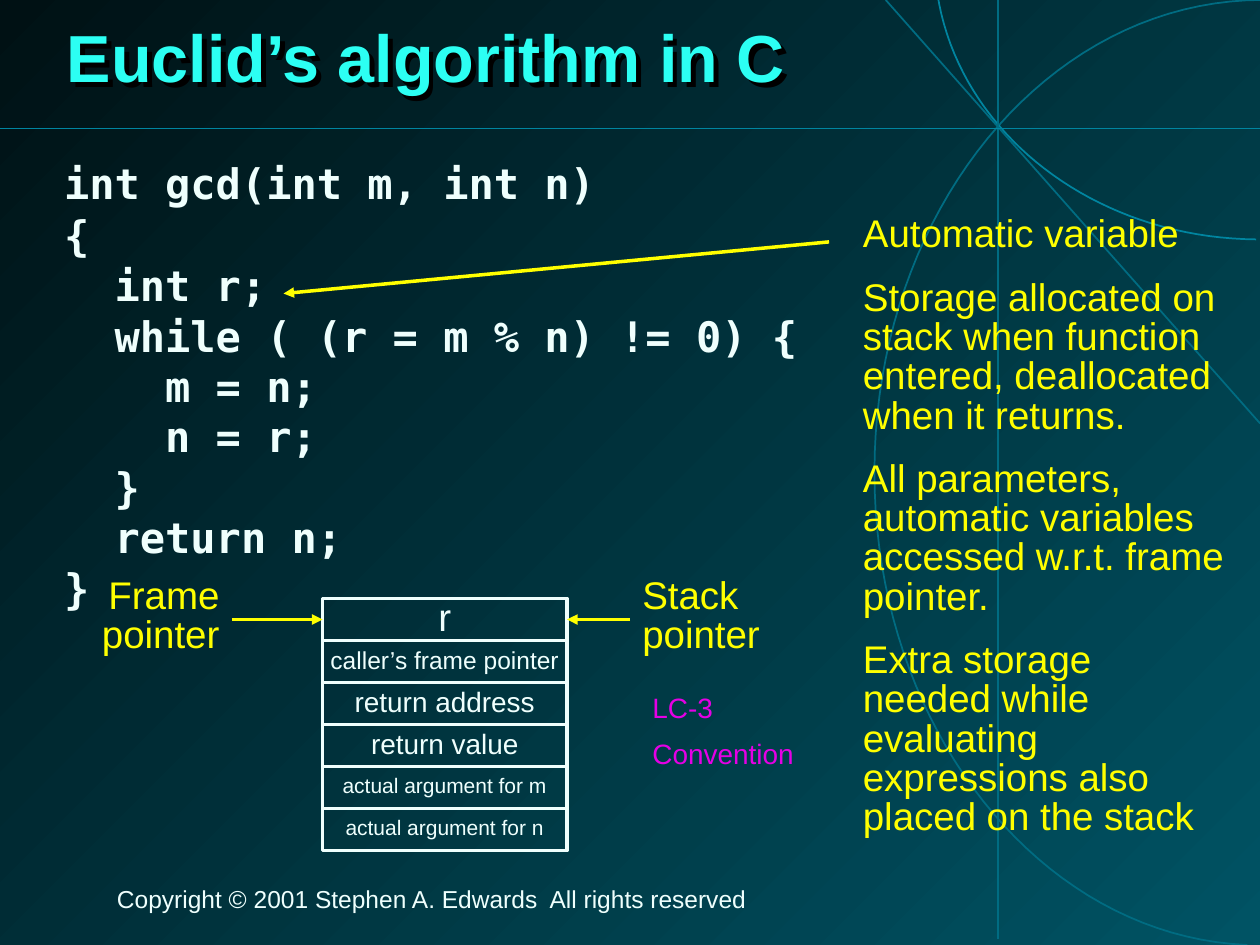
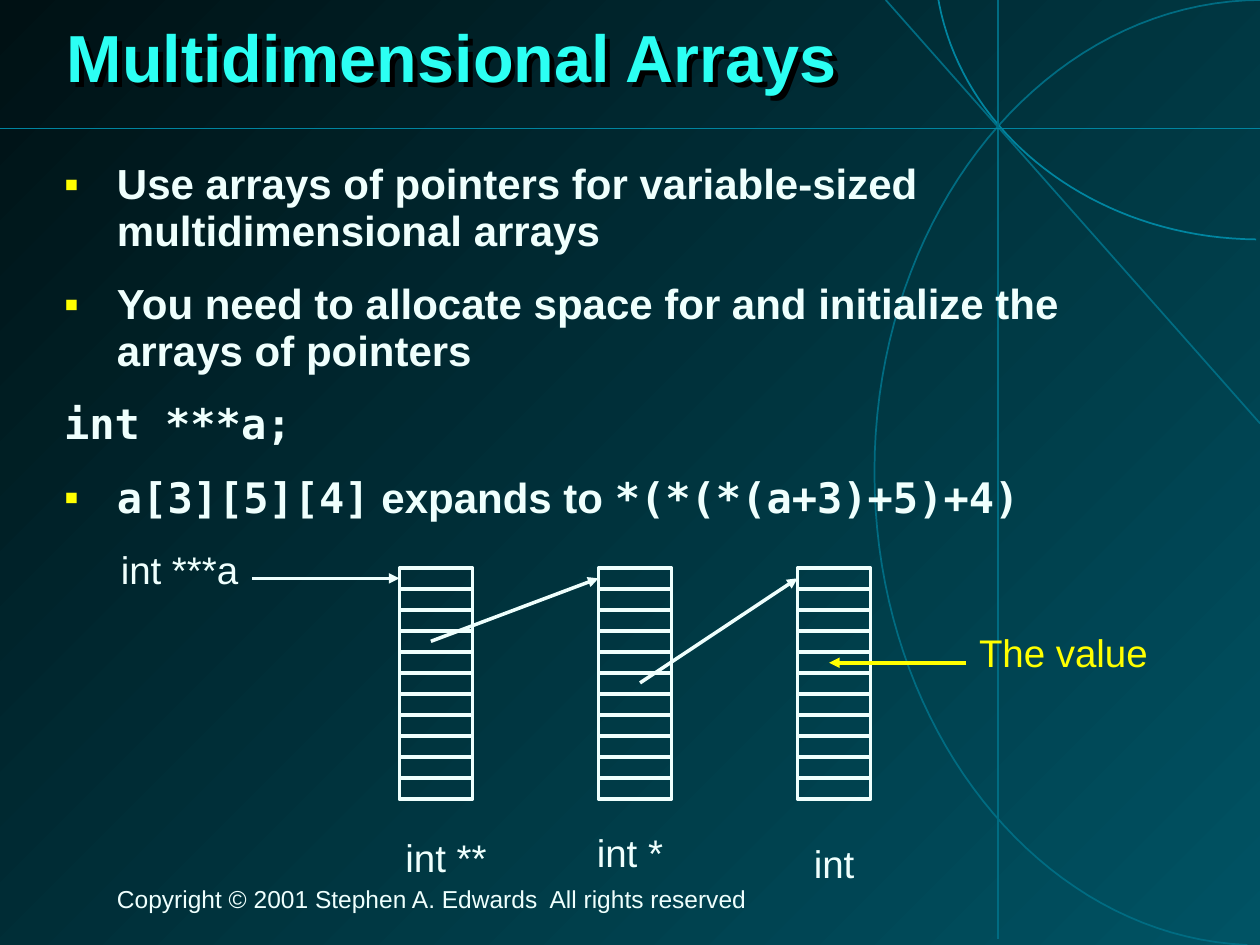
from lxml.etree import SubElement
from pptx import Presentation
from pptx.dml.color import RGBColor
from pptx.enum.shapes import MSO_CONNECTOR as Connector, MSO_SHAPE as Shape
from pptx.enum.text import MSO_ANCHOR as Anchor, MSO_AUTO_SIZE as AutoSize, PP_ALIGN as Align
from pptx.oxml.ns import qn
from pptx.util import Inches, Pt

COLORS = {
    "dark": "001114", "teal": "005364", "dim": "006C82", "line": "0085A0",
    "title": "2CFFF3", "text": "EFFFFD", "yellow": "FFFF00",
    "magenta": "E500E5", "shadow": "000000",
}
SANS, MONO = "Arial", "DejaVu Sans Mono"
COPYRIGHT = "Copyright © 2001 Stephen A. Edwards  All rights reserved"
BODY = (0.41, 1.24, 9.12, 5.59)

BACKDROP_LINES = [
    ((10, 3.36), (7.03, 0), "dim"),
    ((7.92, 0), (7.92, 7.45), "dim"),
    ((0, 1.02), (10, 1.02), "line"),
]
BACKDROP_CURVES = [
    ("dim", [((9.9, 7.5), (8.25, 7.43), (6.94, 5.77), (6.94, 3.75)),
             ((6.94, 3.75), (6.94, 1.68), (8.31, 0), (10.02, 0))]),
    ("line", [((9.97, 1.9), (8.69, 1.89), (7.61, 1.06), (7.44, -0.05))]),
]

GCD_CODE = [
    "int gcd(int m, int n)",
    "{",
    "  int r;",
    "  while ( (r = m % n) != 0) {",
    "    m = n;",
    "    n = r;",
    "  }",
    "  return n;",
    "}",
]
STORAGE_NOTES = [
    "Automatic variable",
    "Storage allocated on stack when function entered, deallocated when it returns.",
    "All parameters, automatic variables accessed w.r.t. frame pointer.",
    "Extra storage needed while evaluating expressions also placed on the stack",
]
STACK_FRAME = [
    ("r", 22), ("caller’s frame pointer", 14), ("return address", 16),
    ("return value", 16), ("actual argument for m", 12), ("actual argument for n", 12),
]
FRAME_LEFT, FRAME_TOP, FRAME_WIDTH, FRAME_ROW = 2.56, 4.75, 1.94, 1 / 3

ARRAY_POINTS = [
    (True, [("Use arrays of pointers for variable-sized multidimensional arrays", SANS)]),
    (True, [("You need to allocate space for and initialize the arrays of pointers", SANS)]),
    (False, [("int ***a;", MONO)]),
    (True, [("a[3][5][4]", MONO), (" expands to ", SANS), ("*(*(*(a+3)+5)+4)", MONO)]),
]
ARRAY_COUNT, ARRAY_CELLS = 3, 11
ARRAY_LEFT, ARRAY_TOP, ARRAY_WIDTH, ARRAY_PITCH, CELL = 3.17, 4.51, 0.58, 1.58, 1 / 6
ARRAY_LABELS = [
    ("The value", (7.67, 5, 1.54, 0.41), "yellow"),
    ("int **", (3.04, 6.63, 1, 0.41), "text"),
    ("int *", (4.5, 6.59, 1, 0.41), "text"),
    ("int", (6.12, 6.67, 1, 0.41), "text"),
    ("int ***a", (0.82, 4.34, 1.21, 0.41), "text"),
]
ARRAY_ARROWS = [
    ((2, 4.59), (3.17, 4.59), "text"),
    ((3.42, 5.09), (4.75, 4.59), "text"),
    ((5.08, 5.42), (6.33, 4.59), "text"),
    ((7.67, 5.26), (6.58, 5.26), "yellow"),
]


def rgb(name):
    return RGBColor.from_string(COLORS[name])


def inches(values):
    return [Inches(value) for value in values]


def set_font(font, size, color, name=SANS, bold=False):
    font.size, font.name, font.bold = Pt(size), name, bold
    font.color.rgb = rgb(color)


def write(shape, lines, size, color, name=SANS, bold=False, align=Align.LEFT,
          spacing=0.85, before=0, wrap=True, anchor=Anchor.TOP):
    frame = shape.text_frame
    frame.word_wrap, frame.vertical_anchor = wrap, anchor
    for index, line in enumerate(lines):
        paragraph = frame.add_paragraph() if index else frame.paragraphs[0]
        paragraph.text = line
        paragraph.alignment, paragraph.line_spacing = align, spacing
        paragraph.space_before = Pt(before if index else 0)
        set_font(paragraph.font, size, color, name, bold)


def add_text(slide, box, lines, size, color, **style):
    text_box = slide.shapes.add_textbox(*inches(box))
    write(text_box, lines, size, color, **style)
    text_box.text_frame.auto_size = AutoSize.SHAPE_TO_FIT_TEXT
    return text_box


def add_line(slide, start, end, color, width=2, arrow=False):
    connector = slide.shapes.add_connector(Connector.STRAIGHT, *inches(start + end))
    connector.line.color.rgb = rgb(color)
    connector.line.width = Pt(width)
    properties = connector.line._get_or_add_ln()
    if arrow:
        SubElement(properties, qn("a:tailEnd"), type="triangle")
    SubElement(properties.getparent(), qn("a:effectLst"))
    return connector


def outline(shape, color, width):
    shape.shadow.inherit = False
    shape.fill.background()
    shape.line.color.rgb = rgb(color)
    shape.line.width = Pt(width)


def add_box(slide, left, top, width, height):
    box = slide.shapes.add_shape(Shape.RECTANGLE, *inches((left, top, width, height)))
    outline(box, "text", 2)
    return box


def curve_points(segments, steps=40):
    for segment in segments:
        for step in range(steps + 1):
            t = step / steps
            weights = ((1 - t) ** 3, 3 * t * (1 - t) ** 2, 3 * t * t * (1 - t), t ** 3)
            yield tuple(Inches(sum(w * point[axis] for w, point in zip(weights, segment)))
                        for axis in (0, 1))


def add_backdrop(slide):
    for color, segments in BACKDROP_CURVES:
        points = list(curve_points(segments))
        builder = slide.shapes.build_freeform(*points[0])
        builder.add_line_segments(points[1:], close=False)
        outline(builder.convert_to_shape(), color, 1)
    for start, end, color in BACKDROP_LINES:
        add_line(slide, start, end, color, 1)
    add_text(slide, (0.83, 7, 8.08, 0.3), [COPYRIGHT], 14, "text")


def add_slide(presentation, heading):
    slide = presentation.slides.add_slide(presentation.slide_layouts[5])
    add_backdrop(slide)
    title = slide.shapes.title
    title.left, title.top, title.width, title.height = inches((0.43, 0, 9.21, 0.98))
    write(title, [heading], 38, "title", bold=True, spacing=0.87, anchor=Anchor.MIDDLE)
    title.fill.background()
    effects = SubElement(title._element.spPr, qn("a:effectLst"))
    shadow = SubElement(effects, qn("a:outerShdw"), dist="50800", dir="2700000")
    SubElement(shadow, qn("a:srgbClr"), val=COLORS["shadow"])
    return slide


def build_euclid(presentation):
    slide = add_slide(presentation, "Euclid’s algorithm in C")
    code = add_text(slide, BODY, GCD_CODE, 24, "text", name=MONO, bold=True, spacing=1.0)
    code.text_frame.paragraphs[0].line_spacing = 0.93
    add_line(slide, (6.58, 1.92), (2.25, 2.33), "yellow", arrow=True)
    add_text(slide, (6.75, 1.67, 3.08, 5.04), STORAGE_NOTES, 22, "yellow", before=13.8)
    rows = []
    for index, (label, size) in enumerate(STACK_FRAME):
        row = add_box(slide, FRAME_LEFT, FRAME_TOP + index * FRAME_ROW, FRAME_WIDTH, FRAME_ROW)
        write(row, [label], size, "text", align=Align.CENTER, wrap=False, anchor=Anchor.MIDDLE)
        rows.append(row)
    middle = FRAME_TOP + FRAME_ROW / 2
    for start, end, side in ((1.84, FRAME_LEFT, 1), (5, FRAME_LEFT + FRAME_WIDTH, 3)):
        pointer = add_line(slide, (start, middle), (end, middle), "yellow", arrow=True)
        pointer.end_connect(rows[0], side)
    add_text(slide, (0.67, 4.54, 1.17, 0.73), ["Frame pointer"], 22, "yellow", align=Align.RIGHT)
    add_text(slide, (5, 4.54, 1.17, 0.73), ["Stack pointer"], 22, "yellow")
    add_text(slide, (5.08, 5.47, 1.34, 0.69), ["LC-3", "Convention"], 16, "magenta", before=10)


def add_points(slide):
    frame = slide.shapes.add_textbox(*inches(BODY)).text_frame
    frame.word_wrap = True
    for index, (bulleted, runs) in enumerate(ARRAY_POINTS):
        paragraph = frame.add_paragraph() if index else frame.paragraphs[0]
        paragraph.line_spacing = 0.93
        paragraph.space_before = Pt(15 if index else 0)
        if bulleted:
            properties = paragraph._p.get_or_add_pPr()
            properties.set("marL", str(Inches(0.42)))
            properties.set("indent", str(-Inches(0.42)))
            bullet_color = SubElement(properties, qn("a:buClr"))
            SubElement(bullet_color, qn("a:srgbClr"), val=COLORS["yellow"])
            SubElement(properties, qn("a:buFont"), typeface=SANS)
            SubElement(properties, qn("a:buChar"), char="▪")
        for text, name in runs:
            run = paragraph.add_run()
            run.text = text
            set_font(run.font, 24, "text", name, True)


def build_arrays(presentation):
    slide = add_slide(presentation, "Multidimensional Arrays")
    add_points(slide)
    for array in range(ARRAY_COUNT):
        left = ARRAY_LEFT + array * ARRAY_PITCH
        add_box(slide, left, ARRAY_TOP, ARRAY_WIDTH, ARRAY_CELLS * CELL)
        for cell in range(1, ARRAY_CELLS):
            top = ARRAY_TOP + cell * CELL
            add_line(slide, (left, top), (left + ARRAY_WIDTH, top), "text")
    for start, end, color in ARRAY_ARROWS:
        add_line(slide, start, end, color, arrow=True)
    for label, box, color in ARRAY_LABELS:
        add_text(slide, box, [label], 22, color, align=Align.CENTER, wrap=False,
                 anchor=Anchor.MIDDLE)


def main():
    presentation = Presentation()
    presentation.slide_width, presentation.slide_height = Inches(10), Inches(7.5)
    fill = presentation.slide_master.background.fill
    fill.gradient()
    fill.gradient_angle = 315
    for stop, color in zip(fill.gradient_stops, ("dark", "teal")):
        stop.color.rgb = rgb(color)
    build_euclid(presentation)
    build_arrays(presentation)
    presentation.save("out.pptx")


if __name__ == "__main__":
    main()
